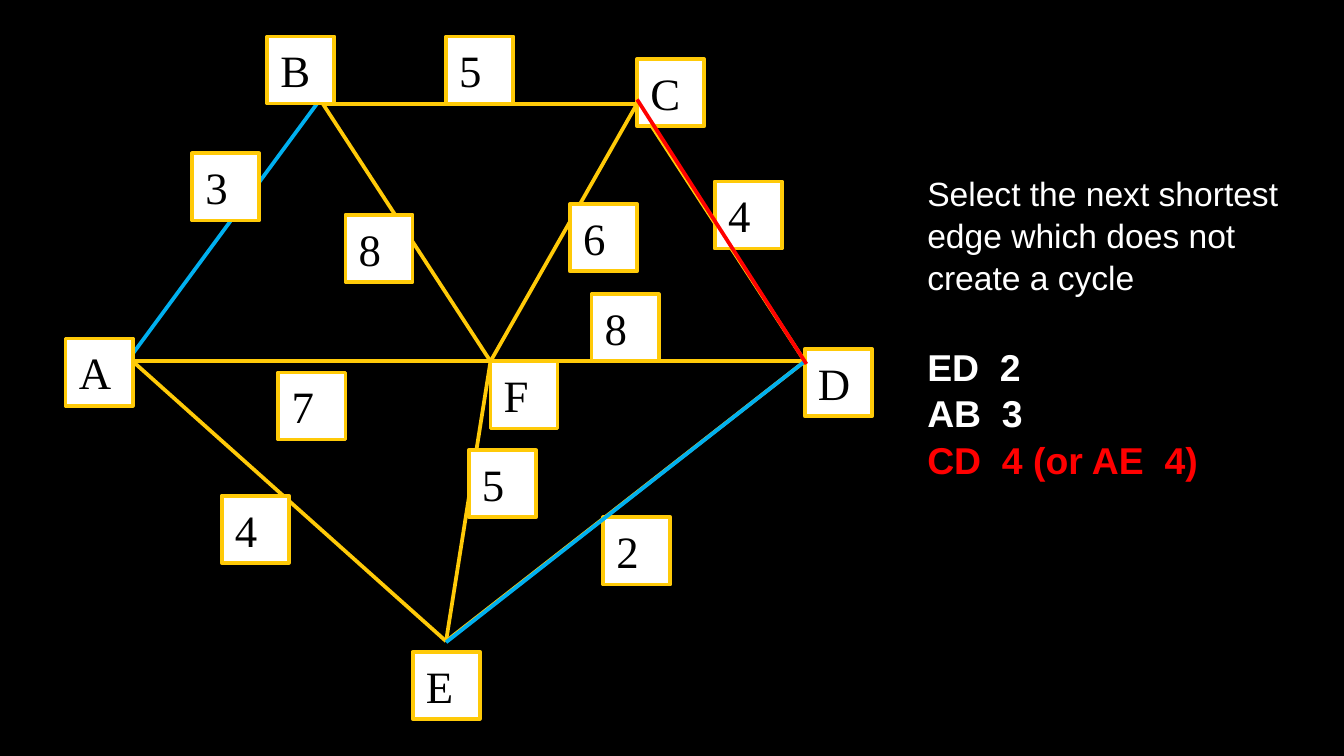
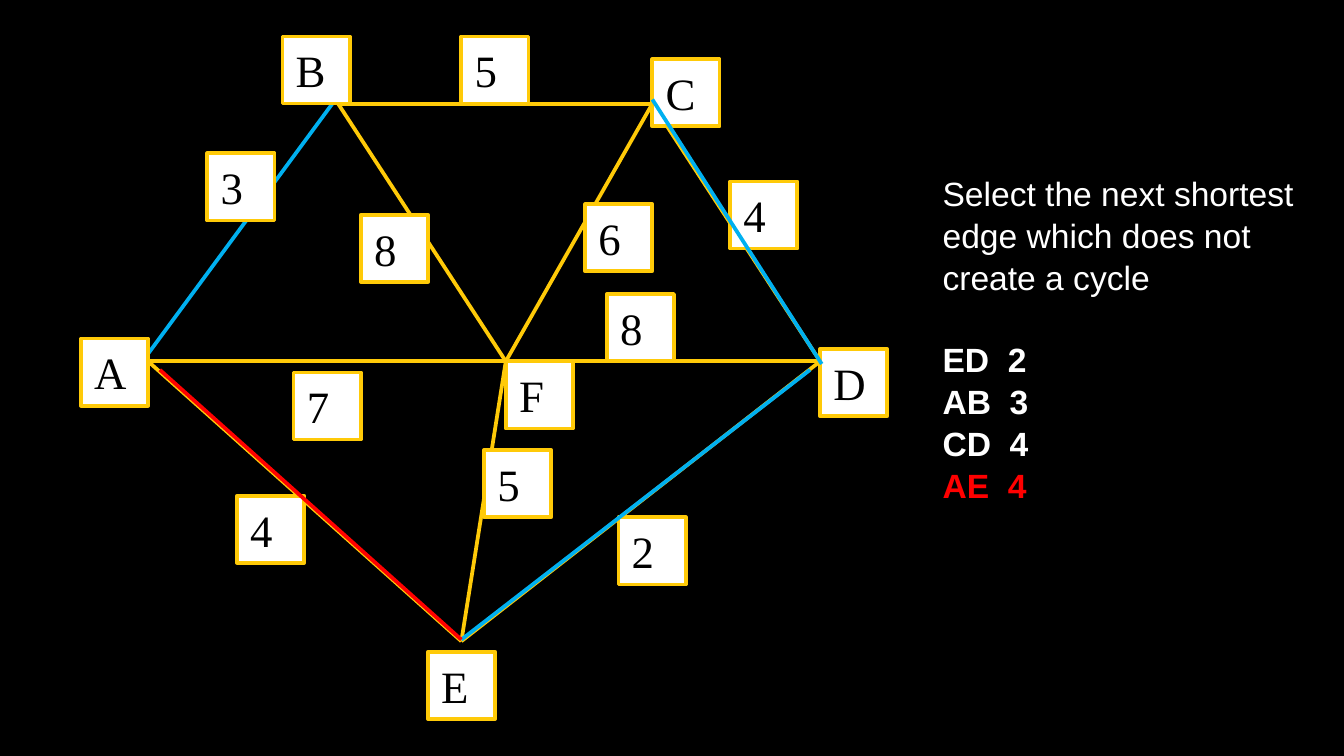
"""Build two slides that pick the shortest edges of a weighted graph."""
from dataclasses import dataclass

from pptx import Presentation
from pptx.dml.color import RGBColor
from pptx.enum.shapes import MSO_CONNECTOR, MSO_SHAPE
from pptx.enum.text import MSO_ANCHOR, MSO_AUTO_SIZE, PP_ALIGN
from pptx.oxml.xmlchemy import OxmlElement
from pptx.util import Cm, Pt

RECT = MSO_SHAPE.RECTANGLE
LINE = MSO_CONNECTOR.STRAIGHT
LEFT = PP_ALIGN.LEFT
TOP = MSO_ANCHOR.TOP
GROW = MSO_AUTO_SIZE.SHAPE_TO_FIT_TEXT


@dataclass(frozen=True)
class Theme:
    back: RGBColor = RGBColor(0, 0, 0)
    ink: RGBColor = RGBColor(0, 0, 0)
    paper: RGBColor = RGBColor(255, 255, 255)
    gold: RGBColor = RGBColor(0xFF, 0xCA, 0x08)
    blue: RGBColor = RGBColor(0x00, 0xB0, 0xF0)
    red: RGBColor = RGBColor(255, 0, 0)
    serif: str = "Times New Roman"
    sans: str = "Arial"
    label: int = 24
    note: int = 18
    stroke: int = 2
    lead: float = 1.04


@dataclass(frozen=True)
class Box:
    text: str
    x: float
    y: float


@dataclass(frozen=True)
class Edge:
    x1: float
    y1: float
    x2: float
    y2: float
    color: RGBColor


@dataclass(frozen=True)
class Step:
    shift: float
    chosen: tuple[Edge, ...]
    latest: Edge
    picks: tuple[str, ...]
    size: int
    gap: float
    height: float


THEME = Theme()
SIDE = 1.27
NODES = {
    "A": (2.51, 6.83), "B": (6.10, 1.96), "C": (12.04, 1.96),
    "D": (15.21, 6.83), "E": (8.43, 12.12), "F": (9.27, 6.83),
}
PAIRS = ("BC", "CD", "AF", "FD", "BF", "FC", "AE", "EF", "ED")
BOXES = (
    Box("A", 1.24, 6.40), Box("F", 9.27, 6.83), Box("B", 5.05, 0.69),
    Box("C", 12.04, 1.12), Box("D", 15.21, 6.60), Box("E", 7.80, 12.32),
    Box("2", 11.40, 9.78), Box("7", 5.26, 7.04), Box("4", 4.19, 9.37),
    Box("5", 8.86, 8.51), Box("8", 6.53, 4.06), Box("6", 10.77, 3.86),
    Box("4", 13.51, 3.43), Box("5", 8.43, 0.69), Box("3", 3.63, 2.90),
    Box("8", 11.18, 5.56),
)
FIRST = Edge(2.44, 6.78, 6.05, 1.88, THEME.blue)
RIGHT = (12.04, 1.88, 15.24, 6.88)
PROMPT = ("Select the next shortest", "edge which does not", "create a cycle")
STEPS = (
    Step(0, (Edge(8.43, 12.14, 15.21, 6.83, THEME.blue),),
         Edge(*RIGHT, THEME.red),
         ("ED  2", "AB  3", "CD  4 (or AE  4)"), 20, 23.9, 8.53),
    Step(0.29, (Edge(8.43, 12.09, 15.02, 6.99, THEME.blue),
                Edge(*RIGHT, THEME.blue)),
         Edge(2.73, 6.99, 8.43, 12.09, THEME.red),
         ("ED  2", "AB  3", "CD  4", "AE  4"), 18, 21.5, 8.97),
)


def add_edge(shapes, edge: Edge, shift: float) -> None:
    line = shapes.add_connector(LINE, Cm(edge.x1 + shift), Cm(edge.y1),
                                Cm(edge.x2 + shift), Cm(edge.y2))
    line.line.color.rgb = edge.color
    line.line.width = Pt(THEME.stroke)
    line._element.spPr.append(OxmlElement("a:effectLst"))


def add_run(para, text: str, face: str, size: int, color: RGBColor,
            bold: bool = False) -> None:
    run = para.add_run()
    run.text = text
    run.font.name = face
    run.font.size = Pt(size)
    run.font.bold = bold
    run.font.color.rgb = color


def add_box(shapes, box: Box, shift: float) -> None:
    shape = shapes.add_shape(RECT, Cm(box.x + shift), Cm(box.y),
                             Cm(SIDE), Cm(SIDE))
    shape.shadow.inherit = False
    shape.fill.solid()
    shape.fill.fore_color.rgb = THEME.paper
    shape.line.color.rgb = THEME.gold
    shape.line.width = Pt(THEME.stroke)
    frame = shape.text_frame
    frame.word_wrap = True
    frame.auto_size = GROW
    frame.vertical_anchor = TOP
    para = frame.paragraphs[0]
    para.alignment = LEFT
    add_run(para, box.text, THEME.serif, THEME.label, THEME.ink)


def add_graph(slide, step: Step) -> None:
    shapes = slide.shapes.add_group_shape().shapes
    add_edge(shapes, FIRST, step.shift)
    for start, end in PAIRS:
        edge = Edge(*NODES[start], *NODES[end], THEME.gold)
        add_edge(shapes, edge, step.shift)
    for box in BOXES:
        add_box(shapes, box, step.shift)
    for edge in step.chosen:
        add_edge(shapes, edge, step.shift)
    add_edge(slide.shapes, step.latest, step.shift)


def add_list(body, step: Step) -> None:
    body.left, body.top = Cm(17.27 + step.shift), Cm(3.12)
    body.width, body.height = Cm(7.44), Cm(step.height)
    frame = body.text_frame
    frame.word_wrap = True
    frame.auto_size = GROW
    frame.vertical_anchor = TOP
    count = len(PROMPT)
    lines = PROMPT + step.picks
    for i, text in enumerate(lines):
        para = frame.add_paragraph() if i else frame.paragraphs[0]
        props = para._p.get_or_add_pPr()
        props.set("marL", str(Cm(SIDE)))
        props.set("indent", str(-Cm(SIDE)))
        props.append(OxmlElement("a:buNone"))
        para.alignment = LEFT
        para.line_spacing = THEME.lead
        para.space_before = Pt(step.gap if i == count else 0)
        para.space_after = Pt(0)
        pick = i >= count
        color = THEME.red if i == len(lines) - 1 else THEME.paper
        size = step.size if pick else THEME.note
        add_run(para, text, THEME.sans, size, color, pick)


def main() -> None:
    deck = Presentation()
    deck.slide_width, deck.slide_height = Cm(25.4), Cm(14.29)
    fill = deck.slide_master.background.fill
    fill.solid()
    fill.fore_color.rgb = THEME.back
    for step in STEPS:
        slide = deck.slides.add_slide(deck.slide_layouts[1])
        title = slide.shapes.title._element
        title.getparent().remove(title)
        add_graph(slide, step)
        add_list(slide.placeholders[1], step)
    deck.save("out.pptx")


if __name__ == "__main__":
    main()
